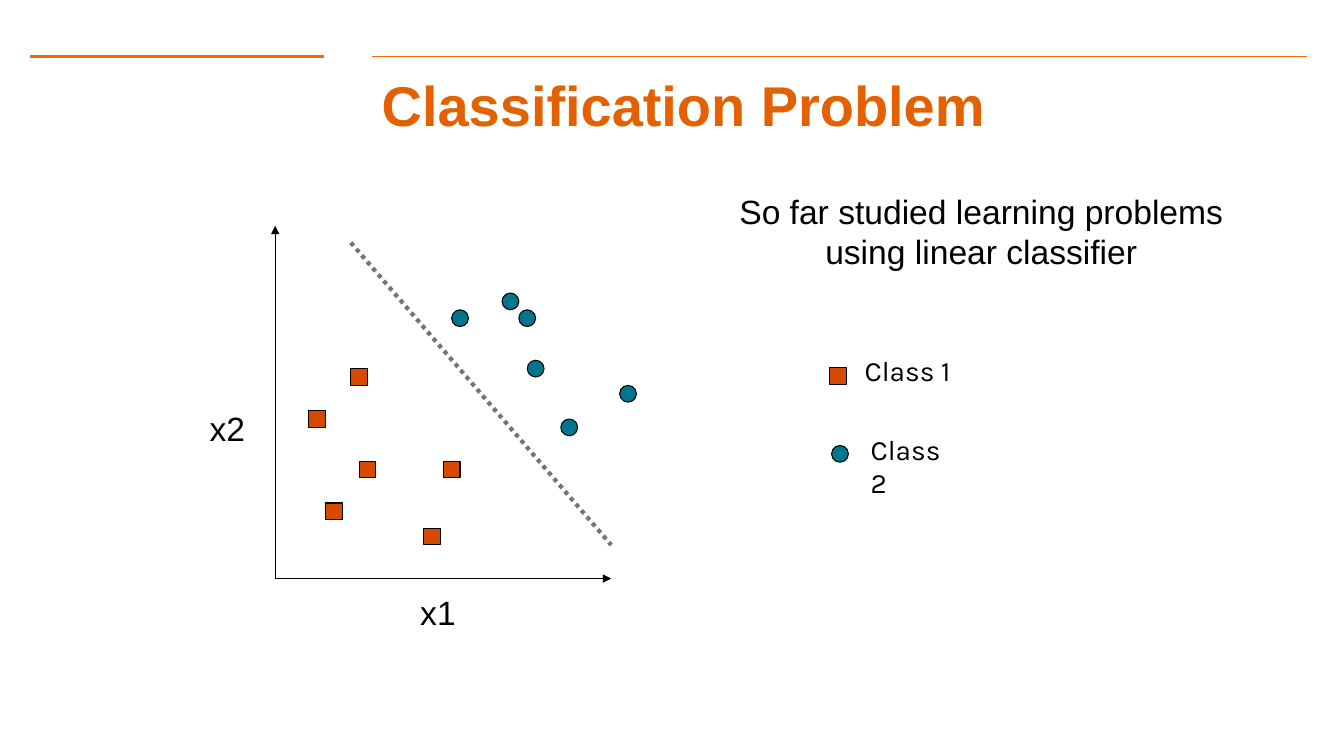
import pptx
import pptx.util
import pptx.dml.color
import pptx.enum.dml
import pptx.enum.shapes
import pptx.enum.text
import pptx.oxml.ns
import lxml.etree

Pt = pptx.util.Pt
SHAPES = pptx.enum.shapes.MSO_SHAPE
ALIGN = pptx.enum.text.PP_ALIGN
ANCHOR = pptx.enum.text.MSO_ANCHOR
COLORS = {
    "rule": "F66900",
    "title": "E46102",
    "text": "000000",
    "class 1": "D64900",
    "class 2": "00758E",
    "boundary": "717479",
}
MARKERS = {"class 1": SHAPES.RECTANGLE, "class 2": SHAPES.OVAL}
MARKER_SIZE = 12

# Marker corners, measured from the top of the vertical axis
POINTS = {
    "class 1": [(24, 132), (120, 168), (106, 216), (60, 168), (36, 198), (54, 102)],
    "class 2": [(174, 60), (246, 114), (204, 138), (180, 96), (162, 48), (126, 60)],
}


def color(name):
    return pptx.dml.color.RGBColor.from_string(COLORS[name])


def add_line(slide, start, end, color_name, width, arrow=False, dash=None):
    line = slide.shapes.add_connector(
        pptx.enum.shapes.MSO_CONNECTOR.STRAIGHT,
        *(Pt(value) for value in (*start, *end)))
    line.line.color.rgb = color(color_name)
    line.line.width = Pt(width)
    if dash:
        line.line.dash_style = dash
    if arrow:
        outline = line.line._get_or_add_ln()
        lxml.etree.SubElement(outline, pptx.oxml.ns.qn("a:tailEnd"), type="triangle")
    lxml.etree.SubElement(line._element.spPr, pptx.oxml.ns.qn("a:effectLst"))


def add_text(slide, box, text, size, font="Arial", color_name="text",
             align=ALIGN.LEFT, bold=False):
    shape = slide.shapes.add_textbox(*(Pt(value) for value in box))
    frame = shape.text_frame
    frame.word_wrap = True
    frame.text = text
    for paragraph in frame.paragraphs:
        paragraph.alignment = align
        for run in paragraph.runs:
            run.font.name = font
            run.font.size = Pt(size)
            run.font.bold = bold
            run.font.color.rgb = color(color_name)
    return frame


def add_marker(slide, left, top, class_name):
    shape = slide.shapes.add_shape(
        MARKERS[class_name], Pt(left), Pt(top), Pt(MARKER_SIZE), Pt(MARKER_SIZE))
    shape.shadow.inherit = False
    shape.fill.solid()
    shape.fill.fore_color.rgb = color(class_name)
    shape.line.color.rgb = color("text")
    shape.line.width = Pt(0.75)


def add_header(slide, left, top, width):
    # Short thick rule, long thin rule, title below
    add_line(slide, (left, top), (left + 210, top), "rule", 2)
    add_line(slide, (left + 244, top), (left + width, top), "rule", 1)
    frame = add_text(slide, (left + 34.5, top + 14.5, 864, 39.6),
                     "Classification Problem", 40, color_name="title",
                     align=ALIGN.CENTER, bold=True)
    frame.vertical_anchor = ANCHOR.MIDDLE


def add_scatter(slide, left, top, width, height):
    # Axes and their names
    origin = (left, top + height)
    add_line(slide, origin, (left, top), "text", 1, arrow=True)
    add_line(slide, origin, (left + width, top + height), "text", 1, arrow=True)
    add_text(slide, (left - 54, top + 126.7, 47.5, 36), "x2", 24)
    add_text(slide, (left + 96.5, top + height + 5.8, 47.5, 36), "x1", 24)

    # Linear boundary between the classes
    add_line(slide, (left + 54, top + 12), (left + width, top + height - 24),
             "boundary", 3, dash=pptx.enum.dml.MSO_LINE.ROUND_DOT)

    for class_name, points in POINTS.items():
        for x, y in points:
            add_marker(slide, left + x, top + y, class_name)


def add_legend(slide, left, top):
    add_marker(slide, left, top, "class 1")
    add_text(slide, (left + 18, top - 13.7, 77, 31.7), "Class 1", 20, "Karla")
    add_marker(slide, left + 1.4, top + 55.4, "class 2")
    add_text(slide, (left + 22.3, top + 42.5, 77, 31.7), "Class 2", 20, "Karla")


def main():
    presentation = pptx.Presentation()
    presentation.slide_width = Pt(960)
    presentation.slide_height = Pt(540)
    slide = presentation.slides.add_slide(presentation.slide_layouts[6])

    add_header(slide, 21.6, 40.3, 912.2)
    add_text(slide, (460.8, 132.5, 480.2, 65.5),
             "So far studied learning problems\nusing linear classifier",
             24, align=ALIGN.CENTER)
    add_scatter(slide, 196.6, 161.3, 240, 252)
    add_legend(slide, 592.6, 262.8)

    presentation.save("out.pptx")


if __name__ == "__main__":
    main()
